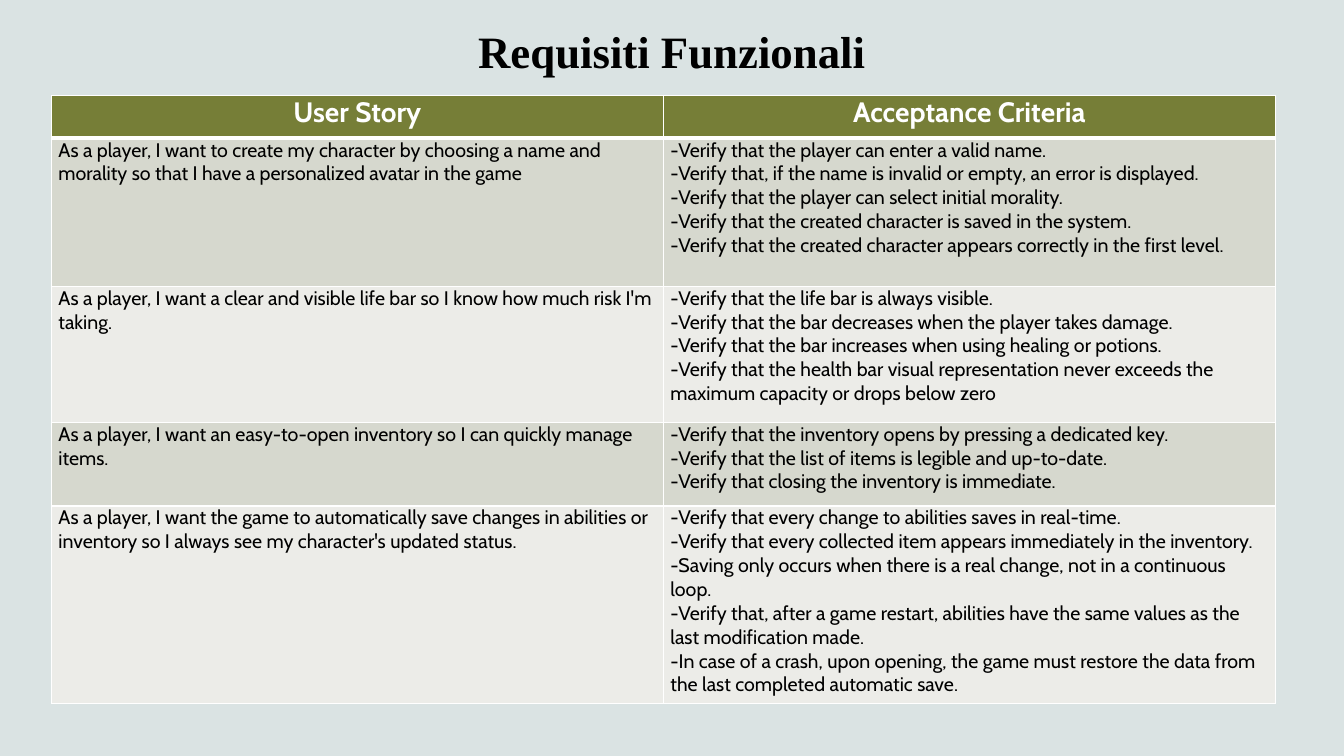
from dataclasses import dataclass

from lxml.etree import SubElement
from pptx import Presentation
from pptx.dml.color import RGBColor
from pptx.enum.text import MSO_ANCHOR, PP_ALIGN
from pptx.oxml.ns import qn
from pptx.slide import Slide
from pptx.table import Table, _Cell as Cell
from pptx.text.text import _Paragraph as Paragraph
from pptx.util import Inches, Pt

COLORS = {
    "background": "DAE3E3",
    "header": "767E37",
    "odd_row": "D6D8CE",
    "even_row": "ECECE8",
    "white": "FFFFFF",
    "black": "000000",
}
HEADERS = ("User Story", "Acceptance Criteria")
HEADER_HEIGHT = 0.42
COLUMN_WIDTH = 6.07


@dataclass(frozen=True)
class Requirement:
    story: str
    criteria: tuple[str, ...]
    height: float


REQUIREMENTS = (
    Requirement(
        "As a player, I want to create my character by choosing a name and "
        "morality so that I have a personalized avatar in the game",
        (
            "-Verify that the player can enter a valid name.",
            "-Verify that, if the name is invalid or empty, an error is displayed.",
            "-Verify that the player can select initial morality.",
            "-Verify that the created character is saved in the system.",
            "-Verify that the created character appears correctly in the first level.",
        ),
        1.47,
    ),
    Requirement(
        "As a player, I want a clear and visible life bar so I know how much "
        "risk I'm taking.",
        (
            "-Verify that the life bar is always visible.",
            "-Verify that the bar decreases when the player takes damage.",
            "-Verify that the bar increases when using healing or potions.",
            "-Verify that the health bar visual representation never exceeds the "
            "maximum capacity or drops below zero",
        ),
        1.35,
    ),
    Requirement(
        "As a player, I want an easy-to-open inventory so I can quickly manage items.",
        (
            "-Verify that the inventory opens by pressing a dedicated key.",
            "-Verify that the list of items is legible and up-to-date.",
            "-Verify that closing the inventory is immediate.",
        ),
        0.83,
    ),
    Requirement(
        "As a player, I want the game to automatically save changes in abilities "
        "or inventory so I always see my character's updated status.",
        (
            "-Verify that every change to abilities saves in real-time.",
            "-Verify that every collected item appears immediately in the inventory.",
            "-Saving only occurs when there is a real change, not in a continuous loop.",
            "-Verify that, after a game restart, abilities have the same values as "
            "the last modification made.",
            "-In case of a crash, upon opening, the game must restore the data from "
            "the last completed automatic save.",
        ),
        1.96,
    ),
)


def rgb(name: str) -> RGBColor:
    return RGBColor.from_string(COLORS[name])


def style_paragraph(p: Paragraph, font: str, size: int, color: str,
                    bold: bool, align: PP_ALIGN) -> None:
    p.alignment = align
    p.font.name = font
    p.font.size = Pt(size)
    p.font.bold = bold
    p.font.color.rgb = rgb(color)


def set_borders(cell: Cell, top: int, bottom: int) -> None:
    """Draw white borders, 1 pt at the sides; top and bottom are in points."""
    tc_pr = cell._tc.get_or_add_tcPr()
    for side, width in (("L", 1), ("R", 1), ("T", top), ("B", bottom)):
        ln = SubElement(tc_pr, qn(f"a:ln{side}"), w=str(Pt(width)))
        fill = SubElement(ln, qn("a:solidFill"))
        SubElement(fill, qn("a:srgbClr"), val=COLORS["white"])


def fill_row(table: Table, row: int, columns: tuple[tuple[str, ...], ...],
             fill: str) -> None:
    is_header = row == 0
    for cell, lines in zip(table.rows[row].cells, columns):
        cell.margin_left = cell.margin_right = Inches(0.07)
        cell.margin_top = cell.margin_bottom = 0
        set_borders(cell, top=3 if row == 1 else 1, bottom=3 if is_header else 1)
        cell.fill.solid()
        cell.fill.fore_color.rgb = rgb(fill)
        tf = cell.text_frame
        tf.text = "\n".join(lines)
        for p in tf.paragraphs:
            if is_header:
                style_paragraph(p, "Cabin", 20, "white", True, PP_ALIGN.CENTER)
            else:
                style_paragraph(p, "Cabin", 14, "black", False, PP_ALIGN.LEFT)


def add_title(s: Slide, text: str) -> None:
    sp = s.shapes.add_textbox(Inches(1.08), Inches(0.11), Inches(11.17), Inches(0.71))
    tf = sp.text_frame
    tf.word_wrap = True
    tf.vertical_anchor = MSO_ANCHOR.BOTTOM
    tf.text = text
    style_paragraph(tf.paragraphs[0], "Times New Roman", 32, "black", True,
                    PP_ALIGN.CENTER)


def add_requirements_table(s: Slide) -> None:
    heights = [HEADER_HEIGHT] + [req.height for req in REQUIREMENTS]
    table = s.shapes.add_table(
        len(heights), len(HEADERS), Inches(0.51), Inches(0.95),
        Inches(COLUMN_WIDTH * len(HEADERS)), Inches(sum(heights)),
    ).table
    for row, height in zip(table.rows, heights):
        row.height = Inches(height)
    fill_row(table, 0, tuple((header,) for header in HEADERS), "header")
    for i, req in enumerate(REQUIREMENTS, start=1):
        fill_row(table, i, ((req.story,), req.criteria),
                 "odd_row" if i % 2 else "even_row")


def main() -> None:
    prs = Presentation()
    prs.slide_width, prs.slide_height = Inches(13.33), Inches(7.5)
    s = prs.slides.add_slide(prs.slide_layouts[6])
    s.background.fill.solid()
    s.background.fill.fore_color.rgb = rgb("background")
    add_title(s, "Requisiti Funzionali")
    add_requirements_table(s)
    prs.save("out.pptx")


if __name__ == "__main__":
    main()
